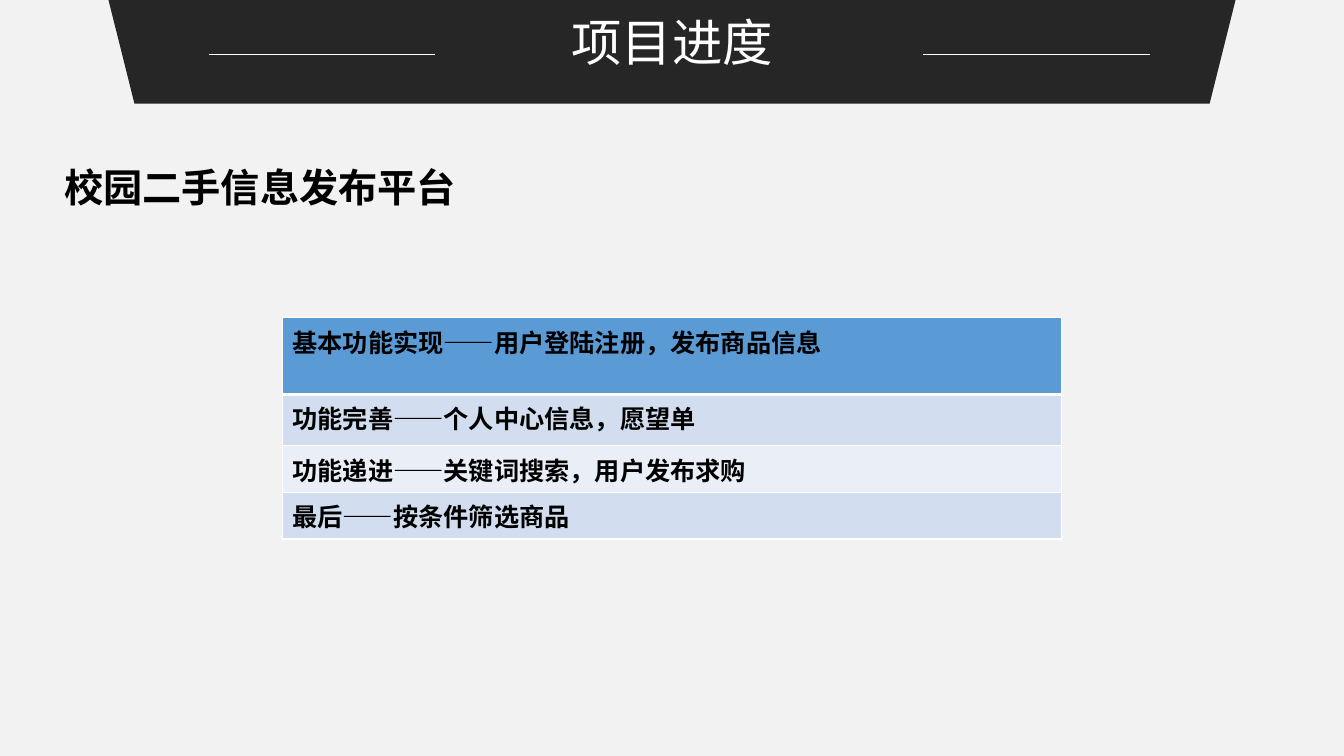
"""Build the project progress slide."""
from lxml.etree import SubElement as Sub
from pptx import Presentation
from pptx.dml.color import RGBColor as Rgb
from pptx.enum.shapes import MSO_CONNECTOR as Conn, MSO_SHAPE as Kind
from pptx.enum.text import MSO_ANCHOR as Anchor, PP_ALIGN as Align
from pptx.oxml import parse_xml
from pptx.oxml.ns import nsdecls, qn
from pptx.util import Pt

TITLE = "项目进度"
HEAD = "校园二手信息发布平台"
ROWS = [
    ("基本功能实现——用户登陆注册，发布商品信息", 54.72, "blue"),
    ("功能完善——个人中心信息，愿望单", 36.72, "pale"),
    ("功能递进——关键词搜索，用户发布求购", 31, "light"),
    ("最后——按条件筛选商品", 31, "pale"),
]
HUES = {"page": "F2F2F2", "band": "262626", "white": "FFFFFF", "ink": "000000",
        "blue": "5B9BD5", "pale": "D2DEEF", "light": "EAEFF7"}
WIDE, HIGH = 960, 540
SPAN = 556.6
LEFT = (WIDE - SPAN) / 2
BAND = 805
RULE, RULE_Y = 162, 38.9
RULES = (149, 659.5)


def hue(name):
    return Rgb.from_string(HUES[name])


def paint(fill, name):
    fill.solid()
    fill.fore_color.rgb = hue(name)


def style(par, size, face, name, bold=False):
    for run in par.runs:
        font = run.font
        font.size, font.name, font.bold = Pt(size), face, bold
        font.color.rgb = hue(name)


def edge(cell, side, width):
    line = parse_xml(
        f'<a:{side} {nsdecls("a")} w="{Pt(width)}"><a:solidFill>'
        f'<a:srgbClr val="{HUES["white"]}"/></a:solidFill></a:{side}>')
    cell._tc.get_or_add_tcPr().append(line)


def add_band(slide):
    band = slide.shapes.add_shape(
        Kind.TRAPEZOID, Pt((WIDE - BAND) / 2), 0, Pt(BAND), Pt(74))
    band.rotation = 180
    band.shadow.inherit = False
    paint(band.fill, "band")
    band.line.fill.background()
    for left in RULES:
        rule = slide.shapes.add_connector(
            Conn.STRAIGHT, Pt(left), Pt(RULE_Y), Pt(left + RULE), Pt(RULE_Y))
        rule.line.color.rgb = hue("white")
        rule.line.width = Pt(0.5)
        Sub(rule._element.spPr, qn("a:effectLst"))


def add_title(slide):
    title = slide.shapes.title
    title.left, title.top = Pt(LEFT), Pt(8.6)
    title.width, title.height = Pt(SPAN), Pt(46.8)
    frame = title.text_frame
    frame.text = TITLE
    frame.vertical_anchor = Anchor.MIDDLE
    par = frame.paragraphs[0]
    par.alignment, par.line_spacing = Align.CENTER, 0.9
    style(par, 36, "Noto Sans CJK SC", "white")
    tree = slide.shapes._spTree
    tree.remove(title._element)
    tree.append(title._element)


def add_head(slide):
    frame = slide.shapes.add_textbox(Pt(38.9), Pt(113), Pt(607), Pt(75)).text_frame
    frame.word_wrap = True
    frame.text = HEAD
    style(frame.paragraphs[0], 28, "Calibri", "ink", True)


def add_steps(slide):
    total = sum(tall for _, tall, _ in ROWS)
    table = slide.shapes.add_table(
        len(ROWS), 1, Pt(LEFT), Pt(227), Pt(SPAN), Pt(total)).table
    for i, (text, tall, name) in enumerate(ROWS):
        table.rows[i].height = Pt(tall)
        cell = table.cell(i, 0)
        cell.text = text
        style(cell.text_frame.paragraphs[0], 18, "Calibri", "ink", True)
        edge(cell, "lnL", 1)
        edge(cell, "lnR", 1)
        edge(cell, "lnT", 3 if i == 1 else 1)
        edge(cell, "lnB", 3 if i == 0 else 1)
        paint(cell.fill, name)


def main():
    deck = Presentation()
    deck.slide_width, deck.slide_height = Pt(WIDE), Pt(HIGH)
    slide = deck.slides.add_slide(deck.slide_layouts[5])
    paint(slide.background.fill, "page")
    add_band(slide)
    add_title(slide)
    add_steps(slide)
    add_head(slide)
    deck.save("out.pptx")


if __name__ == "__main__":
    main()
